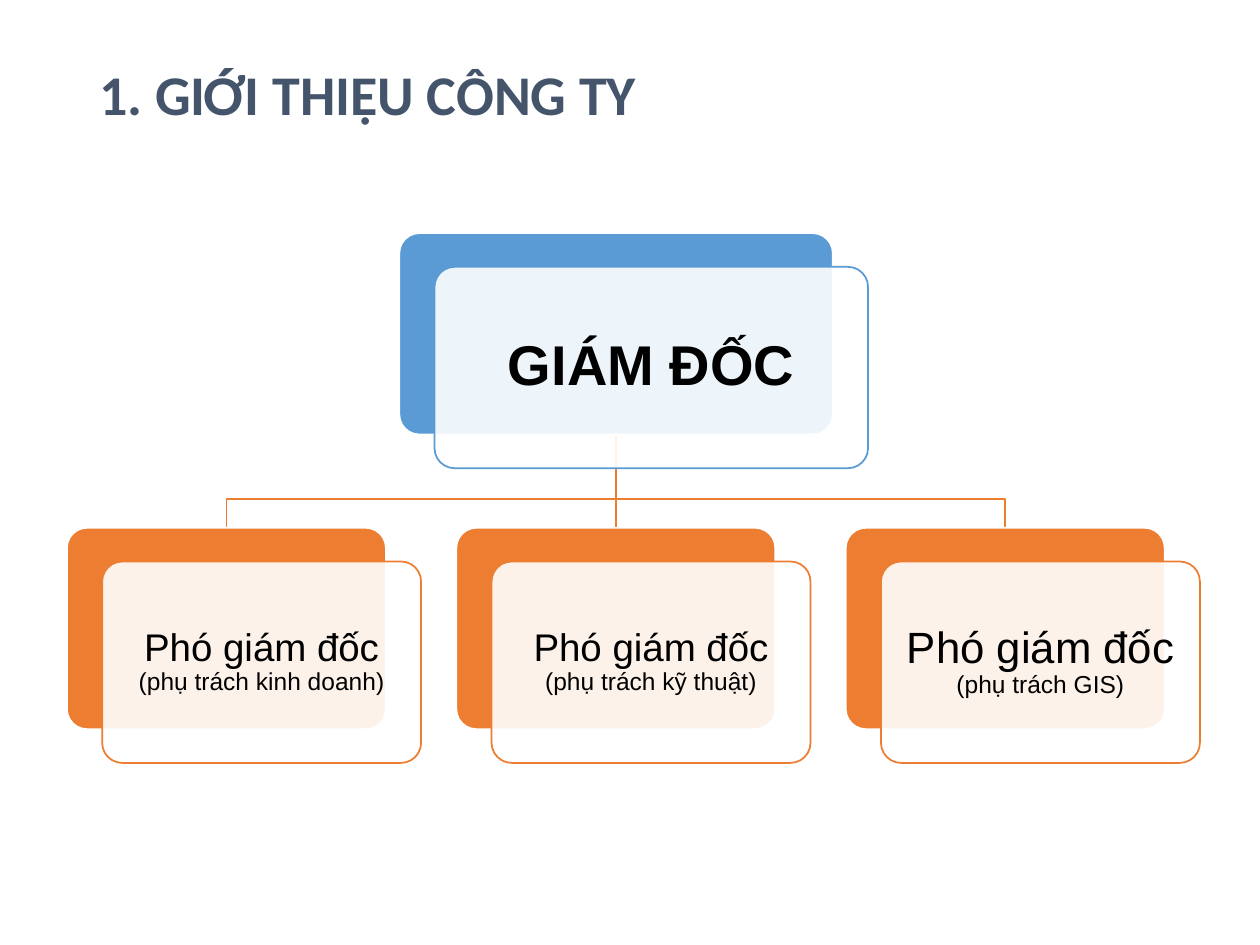
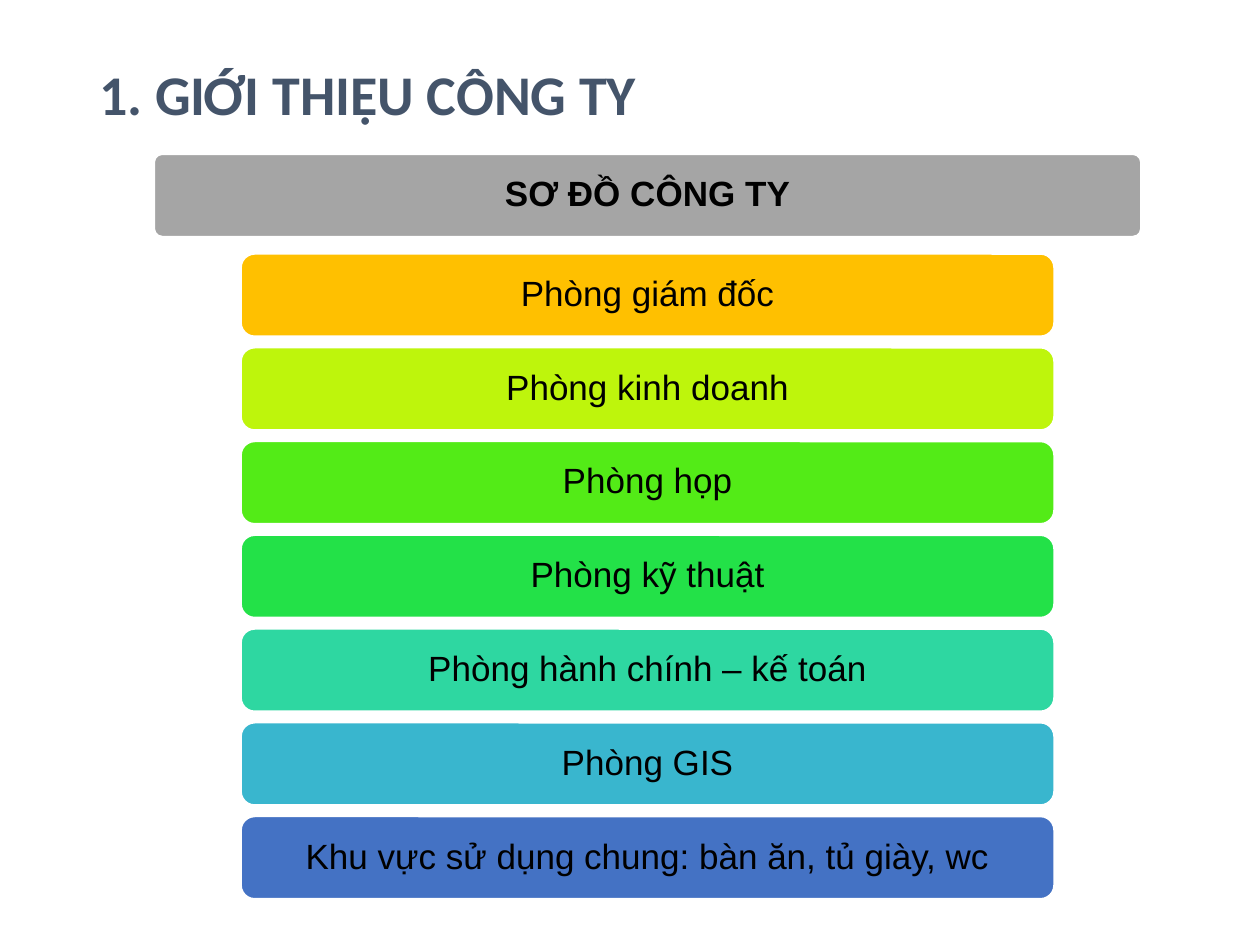
from dataclasses import dataclass

from lxml.etree import SubElement
from pptx import Presentation
from pptx.dml.color import RGBColor
from pptx.enum.shapes import MSO_SHAPE as Kind
from pptx.enum.text import MSO_ANCHOR as Anchor, MSO_AUTO_SIZE as Fit, PP_ALIGN as Align
from pptx.oxml.ns import qn
from pptx.shapes.autoshape import Shape
from pptx.slide import Slide
from pptx.text.text import TextFrame
from pptx.util import Cm, Pt

# Shared colours and fonts
WHITE = RGBColor(0xFF, 0xFF, 0xFF)
BLACK = RGBColor(0x00, 0x00, 0x00)
SLATE = RGBColor(0x44, 0x54, 0x6A)
BLUE = RGBColor(0x5B, 0x9B, 0xD5)
ORANGE = RGBColor(0xED, 0x7D, 0x31)
GRAY = RGBColor(0xA5, 0xA5, 0xA5)
GOLD = RGBColor(0xFF, 0xC0, 0x00)
LIME = RGBColor(0xBE, 0xF5, 0x0C)
GREEN = RGBColor(0x53, 0xEB, 0x17)
MINT = RGBColor(0x23, 0xE1, 0x48)
TEAL = RGBColor(0x2E, 0xD7, 0xA1)
CYAN = RGBColor(0x39, 0xB6, 0xCE)
NAVY = RGBColor(0x44, 0x72, 0xC4)
HEAD, BODY = "Calibri", "Arial"
TITLE = "1. GIỚI THIỆU CÔNG TY"


@dataclass
class Run:
    text: str
    size: float
    bold: bool = False
    color: RGBColor = BLACK
    font: str = BODY


@dataclass
class Box:
    """Place in centimetres."""
    left: float
    top: float
    width: float
    height: float

    @property
    def mid(self) -> float:
        return self.left + self.width / 2

    @property
    def base(self) -> float:
        return self.top + self.height

    def shift(self, right: float, down: float) -> "Box":
        return Box(self.left + right, self.top + down, self.width, self.height)

    def emu(self) -> tuple[Cm, ...]:
        return Cm(self.left), Cm(self.top), Cm(self.width), Cm(self.height)


@dataclass
class Card:
    box: Box
    color: RGBColor
    runs: list[Run]
    inset: float


def write(frame: TextFrame, runs: list[Run]) -> None:
    for item in runs:
        run = frame.paragraphs[0].add_run()
        run.text = item.text
        font = run.font
        font.name, font.size, font.bold = item.font, Pt(item.size), item.bold
        font.color.rgb = item.color


def center(shape: Shape, runs: list[Run], inset: float) -> None:
    frame = shape.text_frame
    frame.word_wrap = True
    frame.vertical_anchor = Anchor.MIDDLE
    frame.margin_left = frame.margin_right = Cm(inset)
    frame.margin_top = frame.margin_bottom = Cm(inset)
    para = frame.paragraphs[0]
    para.alignment = Align.CENTER
    para.line_spacing = 0.9
    write(frame, runs)


def panel(slide: Slide, box: Box, fill: RGBColor, line: RGBColor,
          weight: float, curve: float) -> Shape:
    shape = slide.shapes.add_shape(Kind.ROUNDED_RECTANGLE, *box.emu())
    shape.adjustments[0] = curve
    shape.shadow.inherit = False
    shape.fill.solid()
    shape.fill.fore_color.rgb = fill
    shape.line.color.rgb = line
    shape.line.width = Pt(weight)
    return shape


def fade(shape: Shape, percent: int) -> None:
    color = shape.fill._xPr.find(qn("a:solidFill"))[0]
    SubElement(color, qn("a:alpha"), val=str(percent * 1000))


def draw(slide: Slide, card: Card) -> None:
    panel(slide, card.box, card.color, WHITE, 1, 0.1)
    front = panel(slide, card.box.shift(0.71, 0.68), WHITE, card.color, 1, 0.1)
    fade(front, 90)
    center(front, card.runs, card.inset)


def link(slide: Slide, upper: Box, lower: Box) -> None:
    bend = lower.top - 0.58
    start, *rest = [(Cm(x), Cm(y)) for x, y in (
        (upper.mid, upper.base), (upper.mid, bend),
        (lower.mid, bend), (lower.mid, lower.top))]
    path = slide.shapes.build_freeform(*start)
    path.add_line_segments(rest, close=False)
    line = path.convert_to_shape()
    line.shadow.inherit = False
    line.fill.background()
    line.line.color.rgb = ORANGE
    line.line.width = Pt(1)


def start(deck: Presentation) -> Slide:
    slide = deck.slides.add_slide(deck.slide_layouts[6])
    frame = slide.shapes.add_textbox(*Box(1.75, 1.07, 12.88, 1.63).emu()).text_frame
    frame.word_wrap = True
    frame.auto_size = Fit.SHAPE_TO_FIT_TEXT
    write(frame, [Run(TITLE, 32, True, SLATE, HEAD)])
    return slide


deck = Presentation()
deck.slide_width, deck.slide_height = Cm(25.4), Cm(19.05)

# Slide 1: director and deputies
slide = start(deck)
boss = Card(Box(8.05, 4.7, 8.74, 4.06), BLUE, [Run("GIÁM ĐỐC", 32, True)], 0.33)
roles = [("(phụ trách kinh doanh)", 22, 0.23),
         ("(phụ trách kỹ thuật)", 22, 0.23),
         ("(phụ trách GIS)", 25, 0.25)]
first = Box(1.35, 10.64, 6.43, 4.06)
team = [Card(first.shift(i * 7.85, 0), ORANGE,
             [Run("Phó giám đốc ", size), Run(role, 14)], inset)
        for i, (role, size, inset) in enumerate(roles)]
for card in team:
    link(slide, boss.box, card.box)
for card in [boss, *team]:
    draw(slide, card)

# Slide 2: company rooms
slide = start(deck)
bar = panel(slide, Box(3.1, 3.1, 19.91, 1.68), GRAY, WHITE, 1.5, 0.1)
center(bar, [Run("SƠ ĐỒ CÔNG TY", 20, True)], 0.1)
rooms = [("Phòng giám đốc", GOLD),
         ("Phòng kinh doanh", LIME),
         ("Phòng họp", GREEN),
         ("Phòng kỹ thuật", MINT),
         ("Phòng hành chính – kế toán", TEAL),
         ("Phòng GIS", CYAN),
         ("Khu vực sử dụng chung: bàn ăn, tủ giày, wc", NAVY)]
row = Box(4.85, 5.11, 16.41, 1.68)
for i, (name, color) in enumerate(rooms):
    bar = panel(slide, row.shift(0, i * 1.89), color, WHITE, 1.5, 0.17)
    center(bar, [Run(name, 20)], 0.4)

deck.save("out.pptx")
